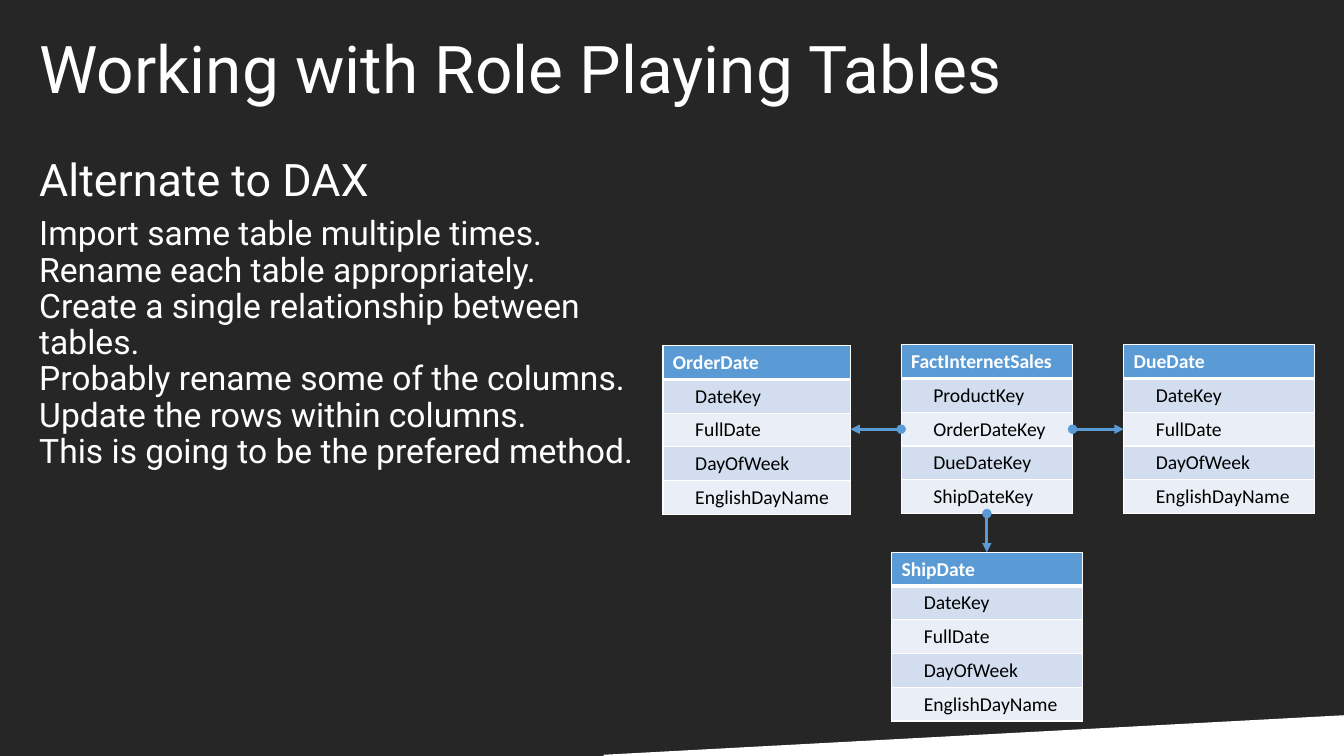
from lxml import etree
from pptx import Presentation
from pptx.dml.color import RGBColor
from pptx.enum.shapes import MSO_CONNECTOR as Connector
from pptx.oxml.ns import qn
from pptx.util import Cm, Pt

DARK = RGBColor(0x26, 0x26, 0x26)
WHITE = RGBColor(0xFF, 0xFF, 0xFF)
BLACK = RGBColor(0x00, 0x00, 0x00)
BLUE = RGBColor(0x5B, 0x9B, 0xD5)
BANDS = [RGBColor(0xEA, 0xEF, 0xF7), RGBColor(0xD2, 0xDE, 0xEF)]

ROW_HEIGHT = 0.85
DATE_FIELDS = ["DateKey", "FullDate", "DayOfWeek", "EnglishDayName"]
SALES_FIELDS = ["ProductKey", "OrderDateKey", "DueDateKey", "ShipDateKey"]
STEPS = [
    "Import same table multiple times.",
    "Rename each table appropriately.",
    "Create a single relationship between tables.",
    "Probably rename some of the columns.",
    "Update the rows within columns.",
    "This is going to be the prefered method.",
]


def add_span(para, text, font_name, size, color, bold=False):
    span = para.add_run()
    span.text = text
    span.font.name = font_name
    span.font.size = Pt(size)
    span.font.color.rgb = color
    span.font.bold = bold


def add_text(page, box, lines, size):
    left, top, width, height = box
    frame = page.shapes.add_textbox(
        Cm(left), Cm(top), Cm(width), Cm(height)).text_frame
    frame.word_wrap = True
    for index, line in enumerate(lines):
        para = frame.add_paragraph() if index else frame.paragraphs[0]
        para.line_spacing = 0.9
        add_span(para, line, "Roboto", size, WHITE)


def add_border(cell, side, points):
    properties = cell._tc.get_or_add_tcPr()
    line = etree.SubElement(properties, qn(f"a:ln{side}"), w=str(Pt(points)))
    fill = etree.SubElement(line, qn("a:solidFill"))
    etree.SubElement(fill, qn("a:srgbClr"), val=str(WHITE))


def add_data_table(page, box, name, fields):
    left, top, width, height = box
    rows = [name] + fields
    table = page.shapes.add_table(
        len(rows), 1, Cm(left), Cm(top), Cm(width), Cm(height)).table
    table.horz_banding = False
    for index, text in enumerate(rows):
        is_header = index == 0
        cell = table.cell(index, 0)
        # The rule below the header is heavier than the others
        for side in "LRTB":
            heavy = (side == "B" and is_header) or (side == "T" and index == 1)
            add_border(cell, side, 3 if heavy else 1)
        cell.fill.solid()
        cell.fill.fore_color.rgb = BLUE if is_header else BANDS[index % 2]
        cell.margin_left = Cm(0.25 if is_header else 0.81)
        add_span(cell.text_frame.paragraphs[0], text, "Calibri", 14,
                 WHITE if is_header else BLACK, is_header)


def add_relationship(page, start, end):
    arrow = page.shapes.add_connector(
        Connector.STRAIGHT, *(Cm(value) for value in (*start, *end)))
    arrow.line.color.rgb = BLUE
    arrow.line.width = Pt(2.25)
    line = arrow.line._get_or_add_ln()
    etree.SubElement(line, qn("a:headEnd"), type="oval")
    etree.SubElement(line, qn("a:tailEnd"), type="triangle")
    etree.SubElement(arrow._element.spPr, qn("a:effectLst"))


def add_wedge(page, box):
    left, top, width, height = box
    builder = page.shapes.build_freeform(
        Cm(left), Cm(top + height), scale=1.0)
    corners = [(left + width, top + height), (left + width, top),
               (left, top + height - 0.1)]
    builder.add_line_segments([(Cm(x), Cm(y)) for x, y in corners], close=True)
    wedge = builder.convert_to_shape()
    wedge.shadow.inherit = False
    wedge.fill.solid()
    wedge.fill.fore_color.rgb = WHITE
    wedge.line.fill.background()


def add_text_column(page, box):
    left, top, width, height = box
    add_text(page, (left, top, width, 2.57), ["Working with Role Playing Tables"], 47)
    add_text(page, (left, top + 3.07, 15.52, 1.37), ["Alternate to DAX"], 32)
    add_text(page, (left, top + 4.55, 16.46, height - 4.55), STEPS, 24)


def add_data_model(page, box):
    left, top, width, height = box
    table_height = ROW_HEIGHT * 5
    date_width, sales_width = 4.8, 4.32
    order_width = 4.72
    sales_left = left + 6
    sales_right = sales_left + sales_width
    center = sales_left + sales_width / 2
    due_left = left + width - date_width
    ship_top = top + height - table_height

    # Sales table with the three role-playing date tables
    add_data_table(page, (center - date_width / 2, ship_top, date_width, table_height),
                   "ShipDate", DATE_FIELDS)
    add_data_table(page, (left, top + 0.02, order_width, table_height),
                   "OrderDate", DATE_FIELDS)
    add_data_table(page, (sales_left, top, sales_width, table_height),
                   "FactInternetSales", SALES_FIELDS)
    add_data_table(page, (due_left, top, date_width, table_height),
                   "DueDate", DATE_FIELDS)

    # One relationship for each date table
    middle = top + table_height / 2
    add_relationship(page, (sales_left, middle), (left + order_width, middle))
    add_relationship(page, (sales_right, middle), (due_left, middle))
    add_relationship(page, (center, top + table_height), (center, ship_top))


def main():
    deck = Presentation()
    deck.slide_width, deck.slide_height = Cm(33.87), Cm(19.05)
    page = deck.slides.add_slide(deck.slide_layouts[6])
    page.background.fill.solid()
    page.background.fill.fore_color.rgb = DARK
    add_wedge(page, (15.21, 18.01, 18.92, 1.11))
    add_text_column(page, (0.74, 0.79, 32.36, 11.45))
    add_data_model(page, (16.71, 8.69, 16.41, 9.48))
    deck.save("out.pptx")


if __name__ == "__main__":
    main()
